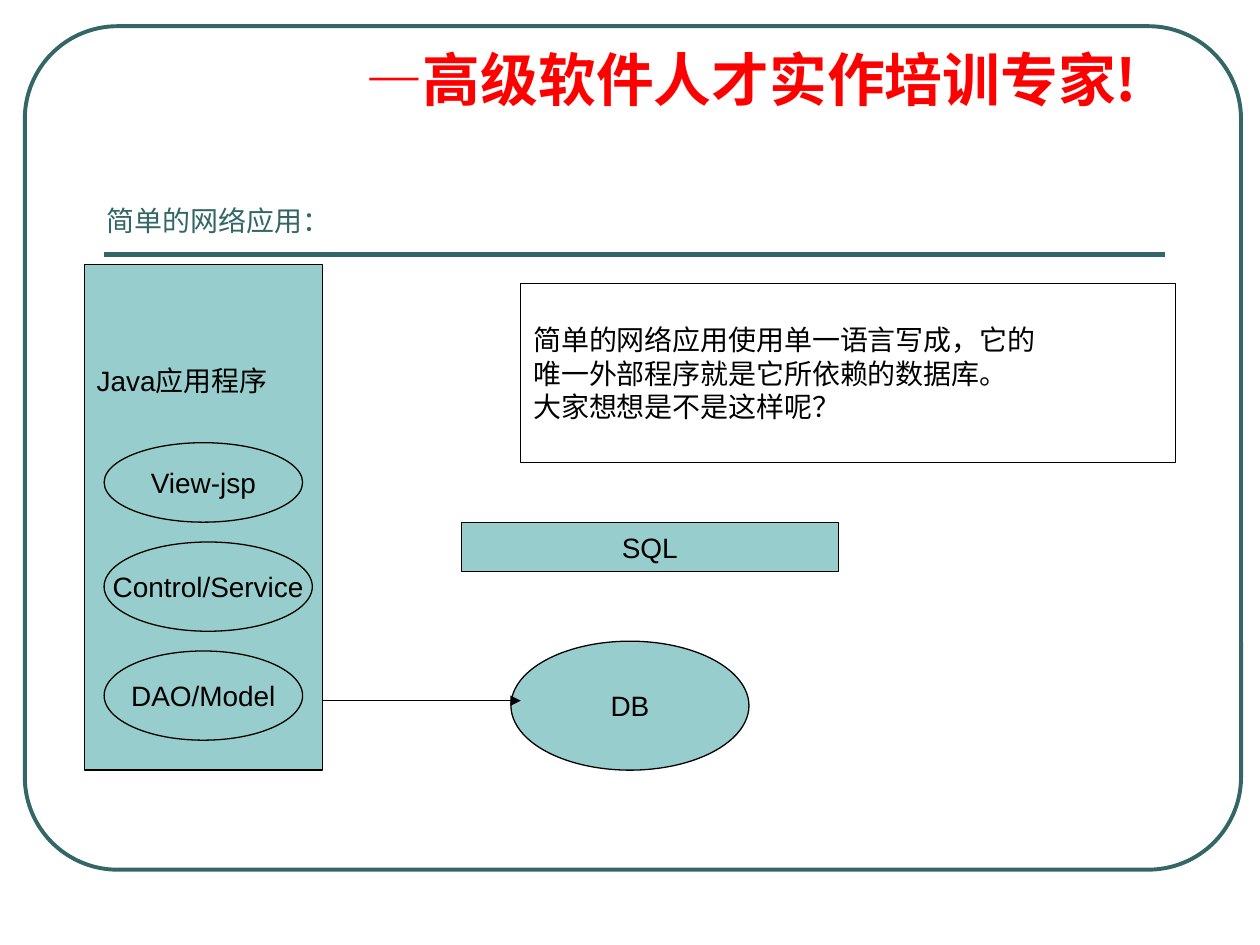
from lxml import etree
from pptx import Presentation
from pptx.dml.color import RGBColor
from pptx.enum import shapes, text
from pptx.oxml import ns
from pptx.util import Pt

TEAL, AQUA, BLACK, RED = "336666", "97CDCC", "000000", "FF0000"
CJK = "Noto Sans CJK SC"
LEFT, CENTER = text.PP_ALIGN.LEFT, text.PP_ALIGN.CENTER
TOP, MIDDLE, BOTTOM = (text.MSO_ANCHOR.TOP, text.MSO_ANCHOR.MIDDLE,
                       text.MSO_ANCHOR.BOTTOM)
KIND = shapes.MSO_SHAPE


def color(code):
    return RGBColor.from_string(code)


def add_xml(parent, tag, **attributes):
    return etree.SubElement(parent, ns.qn(tag), attributes)


def write(shape, lines, size=16, font="Arial", ink=BLACK, bold=False,
          align=LEFT, anchor=MIDDLE, wrap=False, top=3.6, hanging=0,
          spacing=None, before=0):
    frame = shape.text_frame
    frame.word_wrap = wrap
    frame.vertical_anchor = anchor
    frame.margin_left = frame.margin_right = Pt(7.2)
    frame.margin_top, frame.margin_bottom = Pt(top), Pt(3.6)
    frame.text = lines
    for paragraph in frame.paragraphs:
        paragraph.alignment = align
        paragraph.space_before = Pt(before)
        if spacing:
            paragraph.line_spacing = spacing
        if hanging:
            properties = paragraph._p.get_or_add_pPr()
            properties.set("marL", str(Pt(hanging)))
            properties.set("indent", str(Pt(-hanging)))
        for run in paragraph.runs:
            run.font.size, run.font.bold, run.font.name = Pt(size), bold, font
            run.font.color.rgb = color(ink)
            add_xml(run.font._element, "a:ea", typeface=CJK)


def add_text(slide, box, lines, **style):
    write(slide.shapes.add_textbox(*map(Pt, box)), lines, **style)


def add_box(slide, kind, box, lines="", fill=None, line=BLACK, weight=0.75,
            **style):
    shape = slide.shapes.add_shape(kind, *map(Pt, box))
    shape.shadow.inherit = False
    if fill:
        shape.fill.solid()
        shape.fill.fore_color.rgb = color(fill)
    else:
        shape.fill.background()
    shape.line.color.rgb = color(line)
    shape.line.width = Pt(weight)
    if lines:
        write(shape, lines, **style)
    return shape


def add_line(slide, x1, x2, y, line=BLACK, weight=0.75, arrow=False):
    connector = slide.shapes.add_connector(
        shapes.MSO_CONNECTOR.STRAIGHT, Pt(x1), Pt(y), Pt(x2), Pt(y))
    connector.line.color.rgb = color(line)
    connector.line.width = Pt(weight)
    if arrow:
        add_xml(connector.line._get_or_add_ln(), "a:tailEnd", type="triangle")
    add_xml(connector._element.spPr, "a:effectLst")


def main():
    deck = Presentation()
    deck.slide_width, deck.slide_height = Pt(720), Pt(540)
    slide = deck.slides.add_slide(deck.slide_layouts[6])

    # Frame, slogan and title
    border = add_box(slide, KIND.ROUNDED_RECTANGLE, (14.2, 15, 695, 482),
                     line=TEAL, weight=2.25)
    border.adjustments[0] = 0.11
    add_line(slide, 59.5, 665.5, 145.5, line=TEAL, weight=3)
    add_text(slide, (201.6, 26, 453.6, 78.5), "—高级软件人才实作培训专家!",
             size=33, font=CJK, ink=RED, bold=True, anchor=TOP, wrap=True,
             hanging=27, spacing=0.9, before=8.2)
    add_text(slide, (54, 26, 606, 113), "简单的网络应用：", font="Montserrat",
             ink=TEAL, anchor=BOTTOM, wrap=True)

    # Java application and its layers
    add_box(slide, KIND.RECTANGLE, (48.2, 151, 136, 289), "Java应用程序",
            fill=AQUA, anchor=TOP, top=57)
    layers = [("View-jsp", 253, 113.4, 45.4),
              ("Control/Service", 309.7, 119, 51),
              ("DAO/Model", 372, 113.4, 51)]
    for name, y, width, height in layers:
        add_box(slide, KIND.OVAL, (59.5, y, width, height), name, fill=AQUA,
                align=CENTER)

    # Database link
    add_box(slide, KIND.OVAL, (292, 366.4, 136, 73.7), "DB", fill=AQUA,
            align=CENTER)
    add_line(slide, 184.2, 297.6, 400.4, arrow=True)

    # Explanation and query language
    add_box(slide, KIND.RECTANGLE, (297.6, 162.2, 374.2, 102),
            "简单的网络应用使用单一语言写成，它的\n"
            "唯一外部程序就是它所依赖的数据库。\n"
            "大家想想是不是这样呢？")
    add_box(slide, KIND.RECTANGLE, (263.6, 298.4, 215.4, 28.3), "SQL",
            fill=AQUA, align=CENTER)

    deck.save("out.pptx")


main()
